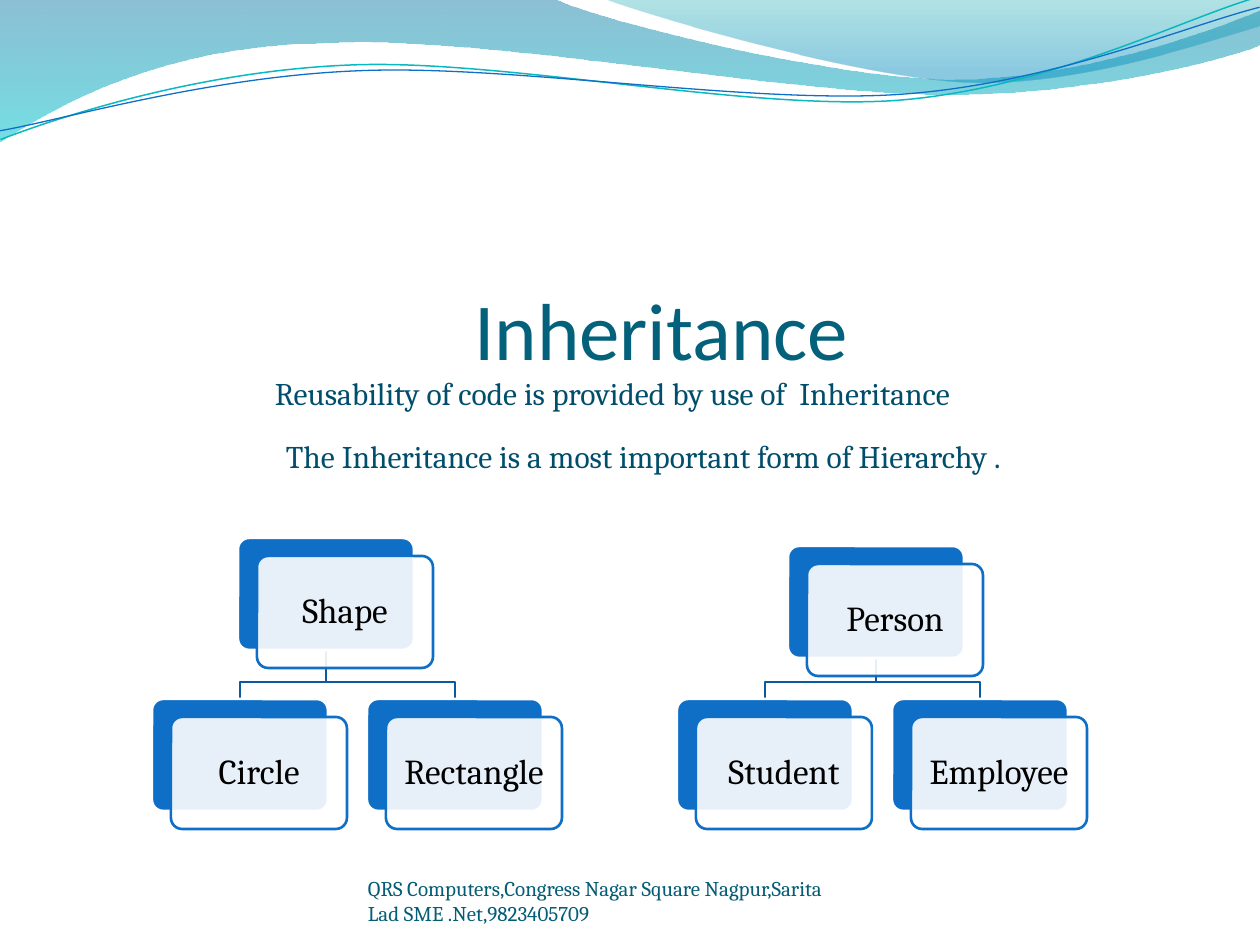
"""Build the Inheritance slide with its wave header and two class hierarchies."""
from lxml import etree
from pptx import Presentation
from pptx.dml.color import RGBColor
from pptx.enum.shapes import MSO_SHAPE
from pptx.enum.text import MSO_ANCHOR, PP_ALIGN
from pptx.oxml.ns import qn
from pptx.util import Pt

ROUND = MSO_SHAPE.ROUNDED_RECTANGLE
TOP, MIDDLE, BOTTOM = MSO_ANCHOR.TOP, MSO_ANCHOR.MIDDLE, MSO_ANCHOR.BOTTOM
LEFT, CENTER = PP_ALIGN.LEFT, PP_ALIGN.CENTER
WHITE = RGBColor(0xFF, 0xFF, 0xFF)
BLACK = RGBColor(0x00, 0x00, 0x00)
BLUE = RGBColor(0x0F, 0x6F, 0xC6)
LINK = RGBColor(0x0C, 0x59, 0x9F)
TEAL = RGBColor(0x0A, 0xB8, 0xBF)
TITLE = RGBColor(0x04, 0x61, 0x7B)
BODY = RGBColor(0x00, 0x4E, 0x6C)
FOOTER = RGBColor(0x04, 0x5D, 0x75)
DEEP, AQUA = RGBColor(0x00, 0x74, 0xA1), RGBColor(0x00, 0xC6, 0xCF)
SEA, SKY = RGBColor(0x00, 0xA1, 0xA9), RGBColor(0x00, 0x8B, 0xBF)
PX = 914400 / 126

prs = Presentation()
prs.slide_width, prs.slide_height = round(1260 * PX), round(945 * PX)
s = prs.slides.add_slide(prs.slide_layouts[6])


def add_path(segments, line=None, width=0, close=False):
    pts = [(seg[i] * PX, seg[i + 1] * PX) for seg in segments for i in range(0, len(seg), 2)]
    fb = s.shapes.build_freeform(*pts[0], scale=1.0)
    fb.add_line_segments(pts[1:], close=close)
    sp = fb.convert_to_shape()
    sp.shadow.inherit = False
    steps = iter(list(sp._element.spPr.iter(qn("a:lnTo"))))
    for seg in segments[1:]:
        step = next(steps)
        if len(seg) == 6:
            curve = etree.Element(qn("a:cubicBezTo"))
            step.addprevious(curve)
            for part in (step, next(steps), next(steps)):
                curve.append(part[0])
                part.getparent().remove(part)
    if line is None:
        sp.line.fill.background()
    else:
        sp.fill.background()
        sp.line.color.rgb = line
        sp.line.width = Pt(width)
    return sp


def add_text(text, box, anchor, align, inset, color, name, size, spacing=None):
    tf = s.shapes.add_textbox(*[round(v * PX) for v in box]).text_frame
    frame = {"word_wrap": True, "vertical_anchor": anchor}
    for side, pad in zip(("left", "top", "right", "bottom"), inset):
        frame["margin_" + side] = round(pad * PX)
    for key, value in frame.items():
        setattr(tf, key, value)
    p = tf.paragraphs[0]
    p.alignment = align
    p.line_spacing = spacing
    r = p.add_run()
    r.text = text
    for key, value in {"name": name, "size": Pt(size)}.items():
        setattr(r.font, key, value)
    r.font.color.rgb = color


waves = [
    ([(0, 0), (554, -1), (600, 21, 837, 79, 955, 79), (1075, 79, 1207, 33, 1260, 11),
      (1261, 45), (1239, 55, 1096, 96, 940, 94), (784, 94, 481, 35, 324, 43),
      (163, 45, 58, 105, -1, 142)],
     [(0, DEEP, 45), (1, AQUA, 55)]),
    ([(604, -1), (641, 14, 859, 78, 969, 82), (1079, 86, 1211, 40, 1260, 26), (1260, 0)],
     [(0, SEA, 30), (0.8, SKY, 45)]),
]
for segments, stops in waves:
    sp = add_path(segments, close=True)
    sp.fill.gradient()
    sp.fill.gradient_angle = 270
    for stop, (position, color, _) in zip(sp.fill.gradient_stops, stops):
        stop.position = position
        stop.color.rgb = color
    for clr, (_, _, alpha) in zip(sp._element.spPr.iter(qn("a:srgbClr")), stops):
        etree.SubElement(clr, qn("a:alpha")).set("val", str(alpha * 1000))

ripples = [
    ([(-2, 110), (58, 90, 199, 51, 349, 52), (499, 52, 745, 117, 896, 113),
      (1049, 108, 1184, 45, 1260, 27)], TEAL, 0.85),
    ([(-2, 101), (57, 94, 207, 57, 357, 58), (508, 58, 750, 111, 902, 107),
      (1052, 103, 1188, 52, 1262, 37)], BLUE, 0.75),
]
for segments, color, width in ripples:
    add_path(segments, color, width).rotation = 357.3

PAD, NODE_PAD, NONE = (13, 6, 13, 6), (10, 10, 10, 10), (0, 0, 0, 0)
texts = [
    ("Inheritance", (315, 274, 693, 95), TOP, CENTER, PAD, TITLE, "Calibri", 46.2),
    ("Reusability of code is provided by use of  Inheritance",
     (262, 368, 743, 50), TOP, LEFT, PAD, BODY, "Cambria", 18),
    ("The Inheritance is a most important form of Hierarchy .",
     (273, 431, 786, 50), TOP, LEFT, PAD, BODY, "Cambria", 18),
    ("QRS Computers,Congress Nagar Square Nagpur,Sarita Lad SME .Net,9823405709",
     (368, 876, 462, 50), BOTTOM, LEFT, NONE, FOOTER, "Cambria", 12),
]
for item in texts[:-1]:
    add_text(*item)

BOX_W, BOX_H, SHIFT_X, SHIFT_Y = 176, 112, 19, 18
CHILD_Y, BEND_Y = 699, 682
trees = [
    (("Person", 788, 546), (("Student", 677), ("Employee", 892))),
    (("Shape", 238, 538), (("Circle", 152), ("Rectangle", 367))),
]
for parent, children in trees:
    _, x, y = parent
    mid = x + BOX_W // 2
    for _, child_x in reversed(children):
        end = child_x + BOX_W // 2
        add_path([(mid, y + BOX_H), (mid, BEND_Y), (end, BEND_Y), (end, CHILD_Y)], LINK, 1.5)
    for label, x, y in [parent] + [(name, child_x, CHILD_Y) for name, child_x in children]:
        for dx, dy, fill, line in ((0, 0, BLUE, WHITE), (SHIFT_X, SHIFT_Y, WHITE, BLUE)):
            box = [round(v * PX) for v in (x + dx, y + dy, BOX_W, BOX_H)]
            sp = s.shapes.add_shape(ROUND, *box)
            sp.adjustments[0] = 0.1
            sp.shadow.inherit = False
            sp.fill.solid()
            sp.fill.fore_color.rgb = fill
            sp.line.color.rgb = line
            sp.line.width = Pt(1.5)
        clr = sp._element.spPr.find(qn("a:solidFill")).find(qn("a:srgbClr"))
        etree.SubElement(clr, qn("a:alpha")).set("val", "90000")
        add_text(label, (x + SHIFT_X + 3, y + SHIFT_Y + 3, BOX_W - 6, BOX_H - 6),
                 MIDDLE, CENTER, NODE_PAD, BLACK, "Cambria", 20, 0.9)

add_text(*texts[-1])
prs.save("out.pptx")
